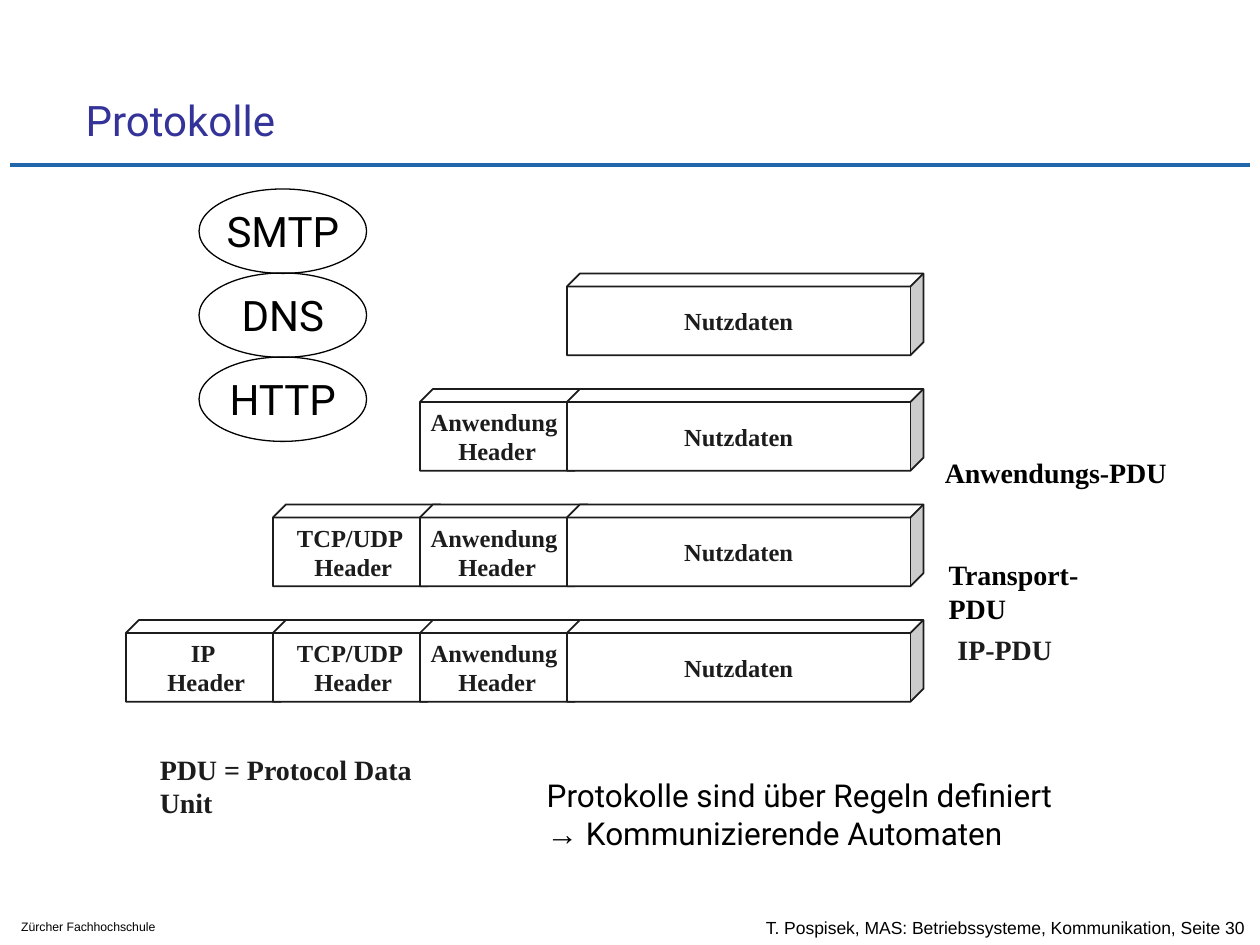
from lxml import etree
from pptx import Presentation
from pptx import util as u
from pptx.dml.color import RGBColor
from pptx.enum import shapes, text
from pptx.oxml.ns import qn

COLOURS = {"black": "000000", "ink": "1C1C1C", "white": "FFFFFF", "title": "333399", "rule": "2266AB"}
SERIF = {"name": "Times New Roman", "bold": True}
CUBE_TEXT = {**SERIF, "size": u.Pt(14)}
LABEL_TEXT = {**SERIF, "size": u.Pt(16)}
OVAL_TEXT = {"name": "Roboto", "size": u.Pt(24)}
NOTE_TEXT = {"name": "Roboto", "size": u.Pt(18)}

HEADERS = [("IP", " Header"), ("TCP/UDP", " Header"), ("Anwendung ", "Header")]
PROTOCOLS = ["SMTP", "DNS", "HTTP"]
LABELS = [
    ("Anwendungs-PDU", (7.4, 3.57, 1.96, 0.37), "black"),
    ("Transport-PDU", (7.43, 4.38, 1.68, 0.37), "black"),
    ("IP-PDU", (7.5, 4.97, 0.95, 0.37), "ink"),
    ("PDU = Protocol Data Unit", (1.17, 5.92, 2.67, 0.37), "ink"),
]
NOTE = [
    "Protokolle sind über Regeln definiert",
    [("→", {"name": "Arial"}), (" Kommunizierende Automaten", {})],
]


class SlideBuilder:
    """Holds the current slide and draws its elements in one style."""

    def __init__(self, presentation):
        self.slide = presentation.slides.add_slide(presentation.slide_layouts[5])

    def colour(self, name):
        return RGBColor.from_string(COLOURS[name])

    def set_all(self, target, values):
        for name, value in values.items():
            setattr(target, name, value)

    def add_text(self, shape, paragraphs, font, colour, align=text.PP_ALIGN.LEFT,
                 anchor=text.MSO_ANCHOR.TOP, wrap=False):
        frame = shape.text_frame
        self.set_all(frame, {"word_wrap": wrap, "vertical_anchor": anchor})
        for index, content in enumerate(paragraphs):
            paragraph = frame.add_paragraph() if index else frame.paragraphs[0]
            paragraph.alignment = align
            runs = [(content, {})] if isinstance(content, str) else content
            for words, changes in runs:
                run = paragraph.add_run()
                run.text = words
                self.set_all(run.font, {**font, **changes})
                run.font.color.rgb = self.colour(colour)

    def title(self, words, box):
        shape = self.slide.shapes.title
        self.set_all(shape, dict(zip(("left", "top", "width", "height"), map(u.Inches, box))))
        self.add_text(shape, [words], OVAL_TEXT, "title", anchor=text.MSO_ANCHOR.BOTTOM, wrap=True)

    def rule(self, left, right, top):
        points = map(u.Inches, (left, top, right, top))
        line = self.slide.shapes.add_connector(shapes.MSO_CONNECTOR.STRAIGHT, *points)
        line.line.color.rgb = self.colour("rule")
        line.line.width = u.Pt(2.5)
        etree.SubElement(line._element.spPr, qn("a:effectLst"))

    def text_box(self, paragraphs, box, font, colour="black", fill=None, **layout):
        shape = self.slide.shapes.add_textbox(*map(u.Inches, box))
        if fill:
            shape.fill.solid()
            shape.fill.fore_color.rgb = self.colour(fill)
        self.add_text(shape, paragraphs, font, colour, **layout)

    def outlined(self, kind, paragraphs, box, font, colour, width):
        shape = self.slide.shapes.add_shape(kind, *map(u.Inches, box))
        shape.shadow.inherit = False
        shape.fill.background()
        shape.line.color.rgb = self.colour(colour)
        shape.line.width = u.Pt(width)
        self.add_text(shape, paragraphs, font, colour, text.PP_ALIGN.CENTER, text.MSO_ANCHOR.MIDDLE)
        return shape

    def cube(self, paragraphs, box):
        shape = self.outlined(shapes.MSO_SHAPE.CUBE, paragraphs, box, CUBE_TEXT, "ink", 1)
        shape.adjustments[0] = 0.16
        shape.fill.solid()
        shape.fill.fore_color.rgb = self.colour("white")

    def oval(self, words, box):
        self.outlined(shapes.MSO_SHAPE.OVAL, [words], box, OVAL_TEXT, "black", 0.75)


def main():
    presentation = Presentation()
    presentation.slide_width, presentation.slide_height = u.Inches(10), u.Inches(7.5)
    builder = SlideBuilder(presentation)

    builder.title("Protokolle", (0.58, 0.28, 8.52, 0.92))
    builder.rule(0.08, 9.92, 1.31)
    builder.text_box(["T. Pospisek, MAS: Betriebssysteme, Kommunikation, Seite 30"],
                     (5.98, 7.2, 4.9, 0.33), {"name": "Arial", "size": u.Pt(10)},
                     anchor=text.MSO_ANCHOR.MIDDLE, wrap=True)
    builder.text_box(["Zürcher Fachhochschule"], (0.07, 7.25, 1.72, 0.22),
                     {"name": "Arial", "size": u.Pt(7)}, wrap=True)

    for words, box, colour in LABELS:
        builder.text_box([words], box, LABEL_TEXT, colour, fill="white")

    data_left, header_step = 4.5, 3.5 / 3
    for row in range(len(HEADERS) + 1):
        top = 2.17 + row * 2.75 / 3
        for index, header in enumerate(HEADERS[len(HEADERS) - row:]):
            left = data_left - (row - index) * header_step
            builder.cube(header, (left, top, 1.33, 0.65))
        builder.cube(["Nutzdaten"], (data_left, top, 2.83, 0.65))

    for index, protocol in enumerate(PROTOCOLS):
        builder.oval(protocol, (1.58, 1.5 + index * 2 / 3, 1.33, 0.67))

    builder.text_box(NOTE, (4.24, 6.11, 4.51, 0.7), NOTE_TEXT)
    presentation.save("out.pptx")


if __name__ == "__main__":
    main()
